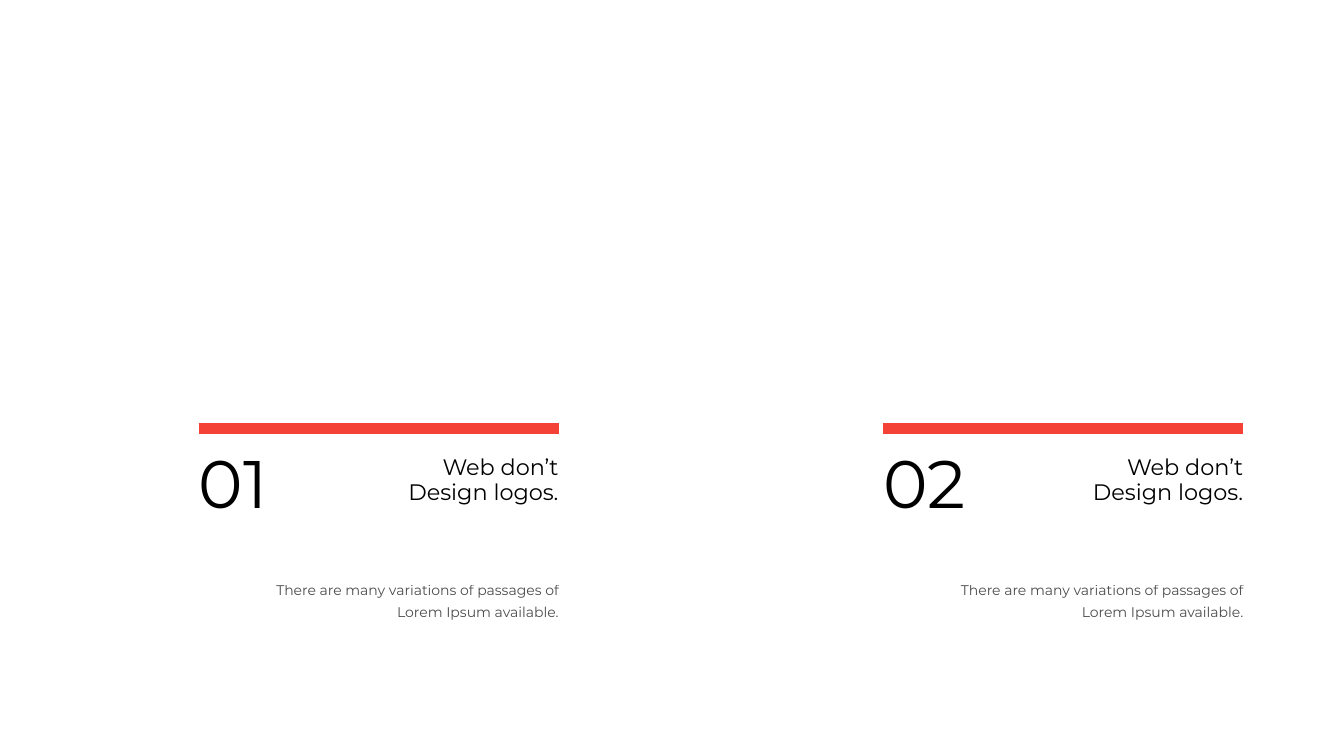
import pptx
import pptx.util
import pptx.dml.color
import pptx.enum.shapes
import pptx.enum.text
import pptx.oxml.ns
from lxml import etree
from pptx.util import Inches

FONT = "Montserrat"
BLACK = "000000"
RED = "F44336"
LEFT = pptx.enum.text.PP_ALIGN.LEFT
RIGHT = pptx.enum.text.PP_ALIGN.RIGHT
CARD_WIDTH = 3.57

HEADING = ["Web don’t", "Design logos."]
DESCRIPTION = ["There are many variations of passages of Lorem Ipsum available."]


def set_color(color_format, hex_color, opacity=100):
    color_format.rgb = pptx.dml.color.RGBColor.from_string(hex_color)


def set_opacity(font, percent):
    color = font.fill._xPr.find(".//" + pptx.oxml.ns.qn("a:srgbClr"))
    alpha = etree.SubElement(color, pptx.oxml.ns.qn("a:alpha"))
    alpha.set("val", str(percent * 1000))


def add_bar(slide, left, top, width):
    bar = slide.shapes.add_connector(
        pptx.enum.shapes.MSO_CONNECTOR.STRAIGHT,
        Inches(left), Inches(top), Inches(left + width), Inches(top))
    set_color(bar.line.color, RED)
    bar.line.width = pptx.util.Pt(8)
    etree.SubElement(bar._element.spPr, pptx.oxml.ns.qn("a:effectLst"))


def add_text(slide, box, lines, size, align, spacing, opacity=100):
    frame = slide.shapes.add_textbox(*map(Inches, box)).text_frame
    frame_format = {
        "word_wrap": True,
        "auto_size": pptx.enum.text.MSO_AUTO_SIZE.SHAPE_TO_FIT_TEXT,
        "margin_left": 0,
        "margin_right": 0,
        "margin_top": Inches(0.05),
        "margin_bottom": Inches(0.05),
    }
    for name, value in frame_format.items():
        setattr(frame, name, value)

    for index, line in enumerate(lines):
        paragraph = frame.add_paragraph() if index else frame.paragraphs[0]
        paragraph.alignment = align
        paragraph.line_spacing = spacing
        run = paragraph.add_run()
        run.text = line
        for name, value in {"name": FONT, "size": pptx.util.Pt(size)}.items():
            setattr(run.font, name, value)
        set_color(run.font.color, BLACK)
        if opacity < 100:
            set_opacity(run.font, opacity)


def add_card(slide, left, number):
    right = left + CARD_WIDTH
    add_bar(slide, left, 4.25, CARD_WIDTH)
    add_text(slide, (right - 2.25, 4.48, 2.25, 0.59), HEADING, 16, RIGHT, 0.9)
    add_text(slide, (left, 4.42, 1.3, 0.85), [number], 48, LEFT, 0.9)
    add_text(slide, (right - 3.14, 5.67, 3.14, 0.54), DESCRIPTION, 10, RIGHT, 1.3,
             opacity=70)


def main():
    deck = pptx.Presentation()
    deck.slide_width = Inches(13.33)
    deck.slide_height = Inches(7.5)
    slide = deck.slides.add_slide(deck.slide_layouts[6])  # blank layout

    # Two numbered cards, side by side
    for left, number in ((1.97, "01"), (8.76, "02")):
        add_card(slide, left, number)

    deck.save("out.pptx")


if __name__ == "__main__":
    main()
